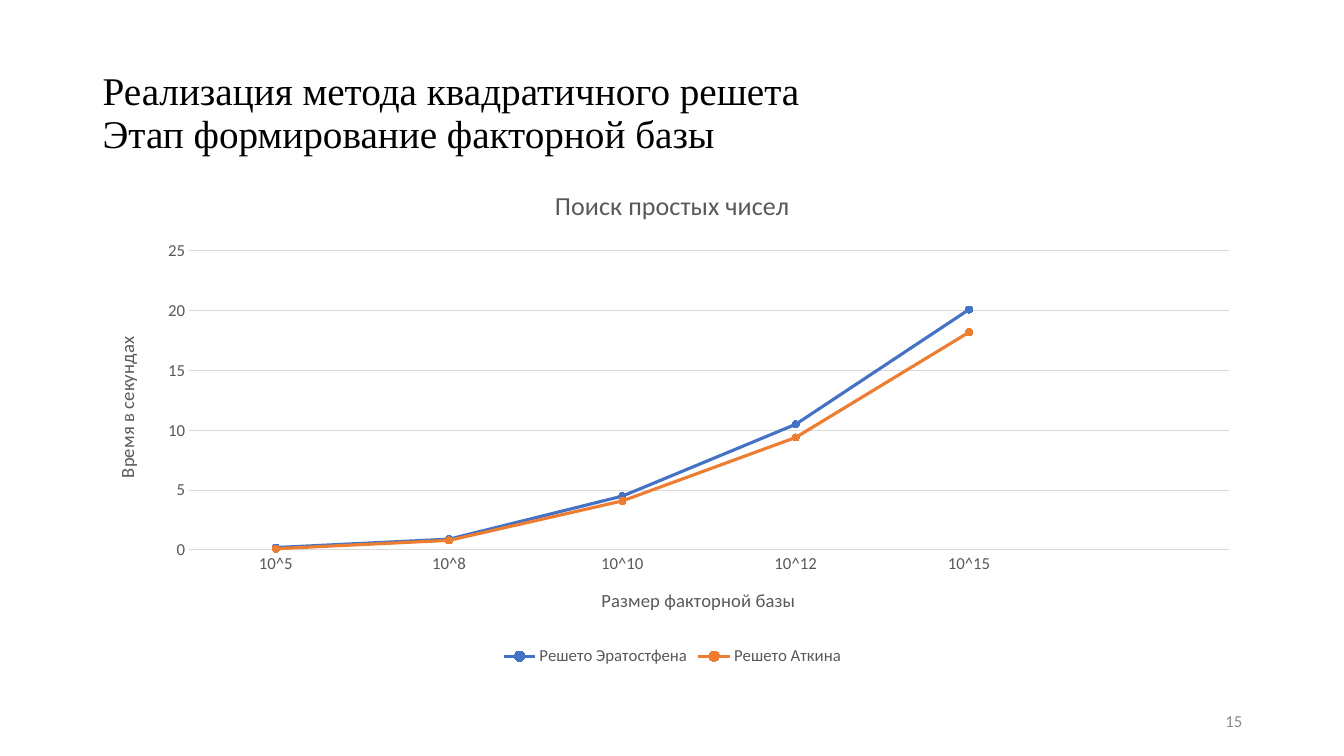
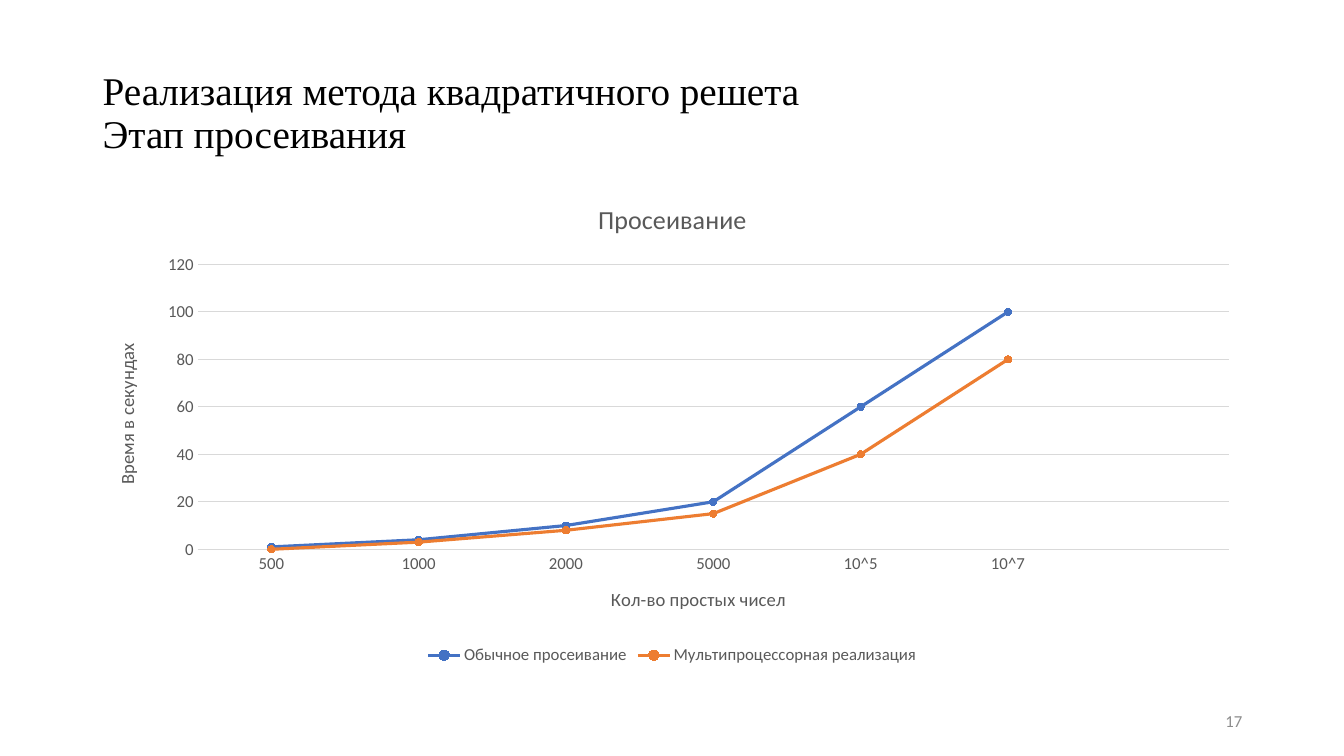
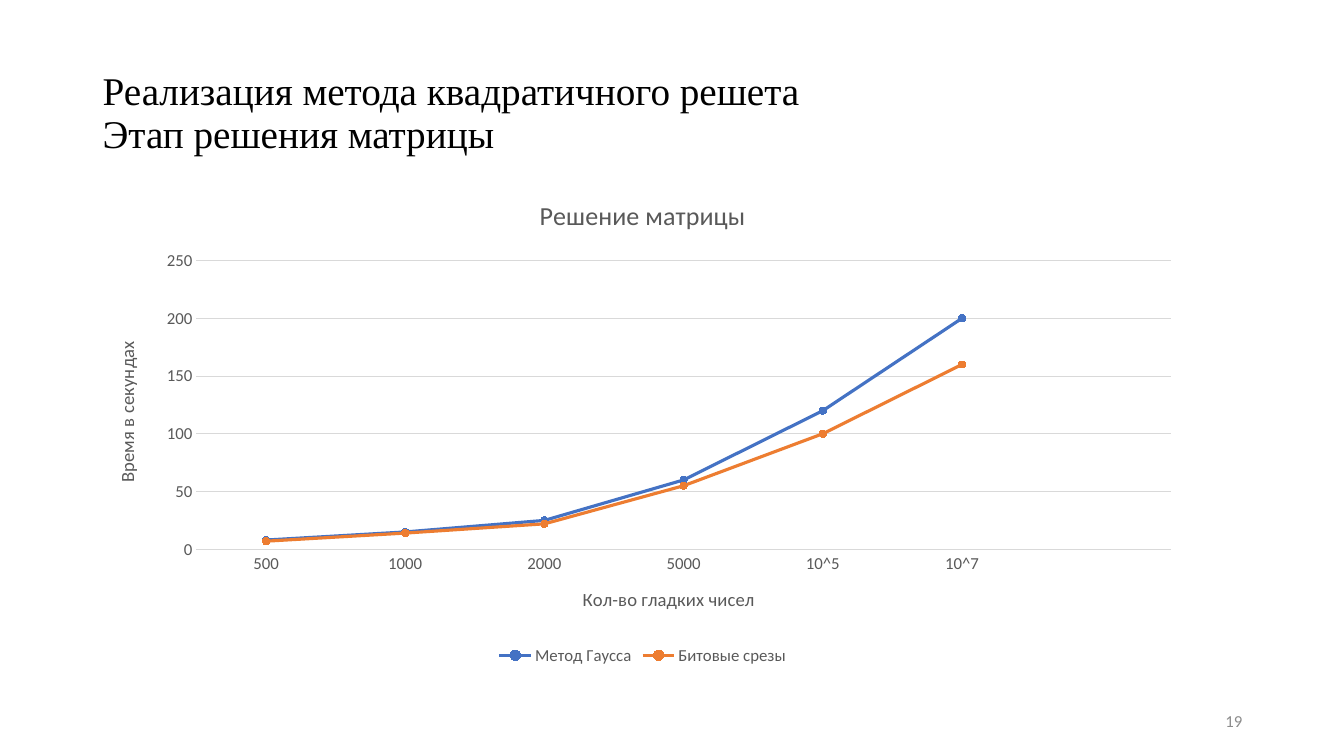
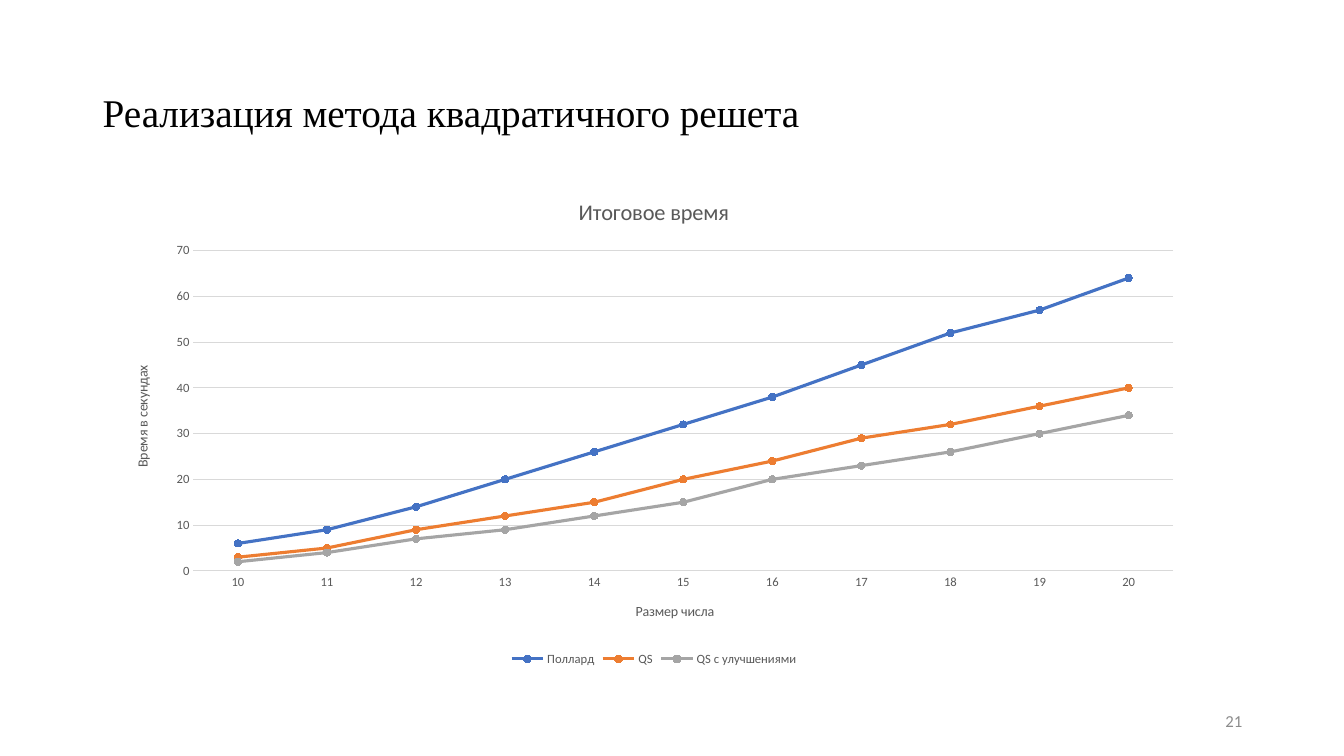
import dataclasses

import pptx
import pptx.chart.axis
import pptx.chart.chart
import pptx.chart.data
import pptx.dml.color
import pptx.enum.chart
import pptx.enum.text
import pptx.oxml.ns
import pptx.presentation
import pptx.slide
import pptx.text.text
import pptx.util


@dataclasses.dataclass(frozen=True)
class Theme:
    title_font: str = "Times New Roman"
    body_font: str = "Calibri"
    title_color: str = "000000"
    chart_text: str = "595959"
    grid: str = "D9D9D9"
    number: str = "8C8C8C"
    series: tuple[str, ...] = ("4472C4", "ED7D31", "A5A5A5")
    title_size: float = 28
    number_size: float = 12
    grid_width: float = 0.75
    series_width: float = 2.25
    marker_size: int = 5


@dataclasses.dataclass(frozen=True)
class ChartSizes:
    title: float
    axis_title: float
    label: float


@dataclasses.dataclass(frozen=True)
class Box:
    """Position and size in percent of the slide."""
    x: float
    y: float
    w: float
    h: float


@dataclasses.dataclass(frozen=True)
class Series:
    name: str
    values: tuple[float | None, ...]


@dataclasses.dataclass(frozen=True)
class ChartSlide:
    number: int
    stage: str
    chart_title: str
    category_title: str
    categories: tuple[str, ...]
    series: tuple[Series, ...]
    box: Box
    sizes: ChartSizes


THEME = Theme()
SLIDE_W = pptx.util.Inches(13.33)
SLIDE_H = pptx.util.Inches(7.5)
TITLE_BOX = Box(6.9, 5.33, 86.27, 19.6)
NUMBER_BOX = Box(70.67, 92.67, 22.5, 5.33)
HEADING = "Реализация метода квадратичного решета"
VALUE_TITLE = "Время в секундах"
LARGE = ChartSizes(18.6, 13.3, 12)
SMALL = ChartSizes(16, 10, 9)
COUNTS = ("500", "1000", "2000", "5000", "10^5", "10^7", "")

SLIDES = (
    ChartSlide(
        15, "Этап формирование факторной базы", "Поиск простых чисел",
        "Размер факторной базы",
        ("10^5", "10^8", "10^10", "10^12", "10^15", ""),
        (
            Series("Решето Эратостфена", (0.2, 0.9, 4.5, 10.5, 20.1, None)),
            Series("Решето Аткина", (0.1, 0.8, 4.1, 9.4, 18.2, None)),
        ),
        Box(6.9, 22.13, 86.27, 66.53), LARGE,
    ),
    ChartSlide(
        17, "Этап просеивания", "Просеивание", "Кол-во простых чисел", COUNTS,
        (
            Series("Обычное просеивание", (1, 4, 10, 20, 60, 100, None)),
            Series("Мультипроцессорная реализация", (0, 3, 8, 15, 40, 80, None)),
        ),
        Box(6.9, 24, 86.27, 64.53), LARGE,
    ),
    ChartSlide(
        19, "Этап решения матрицы", "Решение матрицы", "Кол-во гладких чисел", COUNTS,
        (
            Series("Метод Гаусса", (8, 15, 25, 60, 120, 200, None)),
            Series("Битовые срезы", (7, 14, 22, 55, 100, 160, None)),
        ),
        Box(6.9, 23.47, 81.85, 65.07), LARGE,
    ),
    ChartSlide(
        21, "", "Итоговое время", "Размер числа",
        tuple(str(n) for n in range(10, 21)),
        (
            Series("Поллард", (6, 9, 14, 20, 26, 32, 38, 45, 52, 57, 64)),
            Series("QS", (3, 5, 9, 12, 15, 20, 24, 29, 32, 36, 40)),
            Series("QS с улучшениями", (2, 4, 7, 9, 12, 15, 20, 23, 26, 30, 34)),
        ),
        Box(8.4, 23.47, 80.5, 65.2), SMALL,
    ),
)


def rgb(color: str) -> pptx.dml.color.RGBColor:
    return pptx.dml.color.RGBColor.from_string(color)


def place(box: Box) -> tuple[int, int, int, int]:
    return (int(SLIDE_W * box.x / 100), int(SLIDE_H * box.y / 100),
            int(SLIDE_W * box.w / 100), int(SLIDE_H * box.h / 100))


def style_font(font: pptx.text.text.Font, name: str, size: float, color: str) -> None:
    font.name = name
    font.size = pptx.util.Pt(size)
    font.bold = False
    font.color.rgb = rgb(color)


def add_run(p, text: str, name: str, size: float, color: str) -> None:
    r = p.add_run()
    r.text = text
    style_font(r.font, name, size, color)


def add_text_box(slide: pptx.slide.Slide, box: Box):
    tf = slide.shapes.add_textbox(*place(box)).text_frame
    tf.word_wrap = True
    tf.vertical_anchor = pptx.enum.text.MSO_ANCHOR.MIDDLE
    return tf.paragraphs[0]


def add_title(slide: pptx.slide.Slide, stage: str) -> None:
    p = add_text_box(slide, TITLE_BOX)
    p.line_spacing = 0.9
    style = (THEME.title_font, THEME.title_size, THEME.title_color)
    add_run(p, HEADING, *style)
    if stage:
        p.add_line_break()
        add_run(p, stage, *style)


def add_number(slide: pptx.slide.Slide, number: int) -> None:
    p = add_text_box(slide, NUMBER_BOX)
    p.alignment = pptx.enum.text.PP_ALIGN.RIGHT
    add_run(p, str(number), THEME.body_font, THEME.number_size, THEME.number)


def style_axis(axis, title: str, sizes: ChartSizes) -> None:
    add_run(axis.axis_title.text_frame.paragraphs[0], title,
            THEME.body_font, sizes.axis_title, THEME.chart_text)
    axis.major_tick_mark = pptx.enum.chart.XL_TICK_MARK.NONE
    axis.minor_tick_mark = pptx.enum.chart.XL_TICK_MARK.NONE
    style_font(axis.tick_labels.font, THEME.body_font, sizes.label, THEME.chart_text)


def style_grid_line(line) -> None:
    line.color.rgb = rgb(THEME.grid)
    line.width = pptx.util.Pt(THEME.grid_width)


def style_series(series, color: str) -> None:
    series.smooth = False
    series.format.line.color.rgb = rgb(color)
    series.format.line.width = pptx.util.Pt(THEME.series_width)
    marker = series.marker
    marker.style = pptx.enum.chart.XL_MARKER_STYLE.CIRCLE
    marker.size = THEME.marker_size
    marker.format.fill.solid()
    marker.format.fill.fore_color.rgb = rgb(color)
    marker.format.line.color.rgb = rgb(color)


def add_line_chart(slide: pptx.slide.Slide, spec: ChartSlide) -> None:
    data = pptx.chart.data.CategoryChartData()
    data.categories = spec.categories
    for series in spec.series:
        data.add_series(series.name, series.values)
    chart = slide.shapes.add_chart(
        pptx.enum.chart.XL_CHART_TYPE.LINE_MARKERS, *place(spec.box), data).chart
    style_font(chart.font, THEME.body_font, spec.sizes.label, THEME.chart_text)
    chart.has_title = True
    add_run(chart.chart_title.text_frame.paragraphs[0], spec.chart_title,
            THEME.body_font, spec.sizes.title, THEME.chart_text)
    chart.chart_title.include_in_layout = False

    style_axis(chart.category_axis, spec.category_title, spec.sizes)
    style_grid_line(chart.category_axis.format.line)
    value_axis = chart.value_axis
    style_axis(value_axis, VALUE_TITLE, spec.sizes)
    value_axis.format.line.fill.background()
    value_axis.has_major_gridlines = True
    style_grid_line(value_axis.major_gridlines.format.line)
    body = value_axis.axis_title._element.find(".//" + pptx.oxml.ns.qn("a:bodyPr"))
    body.set("rot", "-5400000")
    body.set("vert", "horz")

    chart.has_legend = True
    chart.legend.position = pptx.enum.chart.XL_LEGEND_POSITION.BOTTOM
    chart.legend.include_in_layout = False
    style_font(chart.legend.font, THEME.body_font, spec.sizes.label, THEME.chart_text)
    chart.plots[0].vary_by_categories = False
    for series, color in zip(chart.plots[0].series, THEME.series):
        style_series(series, color)


def main() -> None:
    prs = pptx.Presentation()
    prs.slide_width = SLIDE_W
    prs.slide_height = SLIDE_H
    for spec in SLIDES:
        slide = prs.slides.add_slide(prs.slide_layouts[6])
        add_title(slide, spec.stage)
        add_line_chart(slide, spec)
        add_number(slide, spec.number)
    prs.save("out.pptx")


if __name__ == "__main__":
    main()
